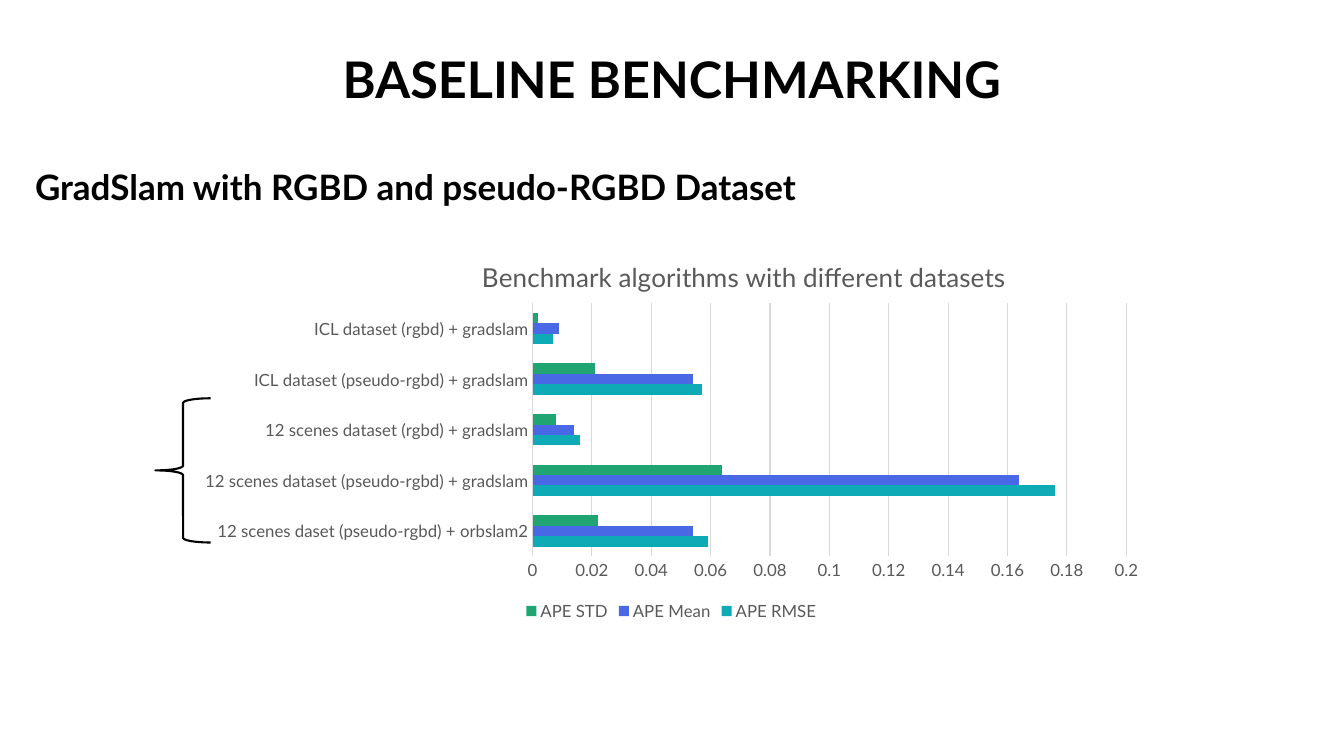
"""Build the baseline benchmarking slide with its bar chart."""
import pptx
import pptx.chart.data
import pptx.dml.color
import pptx.enum.chart
import pptx.enum.shapes
import pptx.enum.text
import pptx.oxml
import pptx.oxml.ns
import pptx.util

Pt = pptx.util.Pt
rgb = pptx.dml.color.RGBColor.from_string
qn = pptx.oxml.ns.qn

THEME = {
    "font": "Lato",
    "ink": rgb("000000"),
    "label": rgb("595959"),
    "grid": rgb("D9D9D9"),
    "title_size": Pt(36),
    "subtitle_size": Pt(25),
    "chart_title_size": Pt(18.6),
    "label_size": Pt(12),
}
CATEGORIES = [
    "12 scenes daset (pseudo-rgbd) + orbslam2",
    "12 scenes dataset (pseudo-rgbd) + gradslam",
    "12 scenes dataset (rgbd) + gradslam",
    "ICL dataset (pseudo-rgbd) + gradslam",
    "ICL dataset (rgbd) + gradslam",
]
SERIES = [
    ("APE RMSE", rgb("0EABB7"), (0.059, 0.176, 0.016, 0.057, 0.007)),
    ("APE Mean", rgb("4868E5"), (0.054, 0.164, 0.014, 0.054, 0.009)),
    ("APE STD", rgb("20A472"), (0.022, 0.064, 0.008, 0.021, 0.002)),
]


def write(text_frame, text, *, size, color=THEME["ink"], bold=True, align=None):
    """Put one formatted paragraph in a text frame."""
    paragraph = text_frame.paragraphs[0]
    paragraph.alignment = align
    run = paragraph.add_run()
    run.text = text
    run.font.name = THEME["font"]
    run.font.size = size
    run.font.bold = bold
    run.font.color.rgb = color
    return paragraph


def place(element, index, **fractions):
    """Give a chart part a manual layout in fractions of the chart."""
    for layout in element.findall(qn("c:layout")):
        element.remove(layout)
    settings = {"xMode": "edge", "yMode": "edge", **fractions}
    if "w" in fractions:
        settings = {"layoutTarget": "inner", **settings}
    children = "".join(f'<c:{name} val="{value}"/>' for name, value in settings.items())
    namespace = pptx.oxml.ns.nsdecls("c")
    element.insert(index, pptx.oxml.parse_xml(
        f"<c:layout {namespace}><c:manualLayout>{children}</c:manualLayout></c:layout>"))


presentation = pptx.Presentation()
presentation.slide_width = Pt(960)
presentation.slide_height = Pt(540)
slide = presentation.slides.add_slide(presentation.slide_layouts[5])

title = slide.shapes.title
title.left, title.top, title.width, title.height = Pt(18), Pt(36), Pt(924), Pt(50)
title.text_frame.vertical_anchor = pptx.enum.text.MSO_ANCHOR.TOP
title.text_frame.auto_size = pptx.enum.text.MSO_AUTO_SIZE.NONE
heading = write(title.text_frame, "BASELINE BENCHMARKING", size=THEME["title_size"],
                align=pptx.enum.text.PP_ALIGN.CENTER)
heading.line_spacing = 0.9
heading.space_before = Pt(0)

subtitle = slide.shapes.add_textbox(Pt(18), Pt(114.5), Pt(651), Pt(37.5))
subtitle.text_frame.word_wrap = True
write(subtitle.text_frame, "GradSlam with RGBD and pseudo-RGBD Dataset", size=THEME["subtitle_size"])

chart_data = pptx.chart.data.CategoryChartData()
chart_data.categories = CATEGORIES
for name, color, values in SERIES:
    chart_data.add_series(name, values)
chart = slide.shapes.add_chart(
    pptx.enum.chart.XL_CHART_TYPE.BAR_CLUSTERED,
    Pt(133), Pt(173), Pt(693), Pt(273.5), chart_data).chart
chart.font.name = THEME["font"]
chart.font.size = THEME["label_size"]
chart.font.color.rgb = THEME["label"]

chart.has_title = True
write(chart.chart_title.text_frame, "Benchmark algorithms with different datasets",
      size=THEME["chart_title_size"], color=THEME["label"], bold=False)
place(chart.chart_title.element, 1, x=0.3, y=0.03)
place(chart.element.find(".//" + qn("c:plotArea")), 0, x=0.357, y=0.16, w=0.612, h=0.66)

chart.has_legend = True
chart.legend.position = pptx.enum.chart.XL_LEGEND_POSITION.BOTTOM
chart.legend.include_in_layout = False

plot = chart.plots[0]
plot.gap_width = 182
plot.overlap = 0
plot.vary_by_categories = False
for series, (name, color, values) in zip(plot.series, SERIES):
    series.format.fill.solid()
    series.format.fill.fore_color.rgb = color

for axis in (chart.category_axis, chart.value_axis):
    axis.major_tick_mark = axis.minor_tick_mark = pptx.enum.chart.XL_TICK_MARK.NONE
chart.value_axis.minimum_scale = 0
chart.value_axis.maximum_scale = 0.2
chart.value_axis.major_unit = 0.02
chart.value_axis.has_major_gridlines = True
chart.value_axis.format.line.fill.background()
for rule in (chart.category_axis.format.line, chart.value_axis.major_gridlines.format.line):
    rule.color.rgb = THEME["grid"]
    rule.width = Pt(0.75)

brace = slide.shapes.add_shape(
    pptx.enum.shapes.MSO_SHAPE.LEFT_BRACE, Pt(111), Pt(284.5), Pt(39.5), Pt(103))
brace.shadow.inherit = False
brace.fill.background()
brace.line.color.rgb = THEME["ink"]
brace.line.width = Pt(1.5)

presentation.save("out.pptx")
